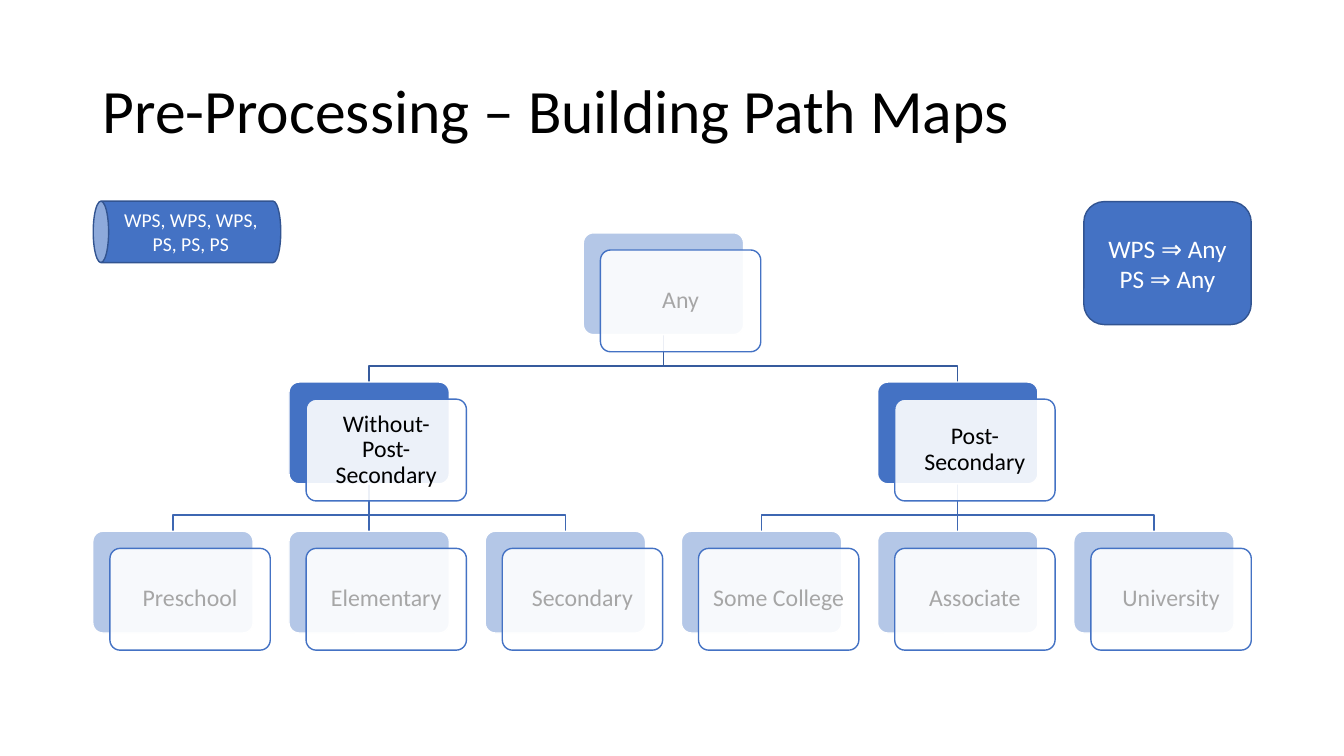
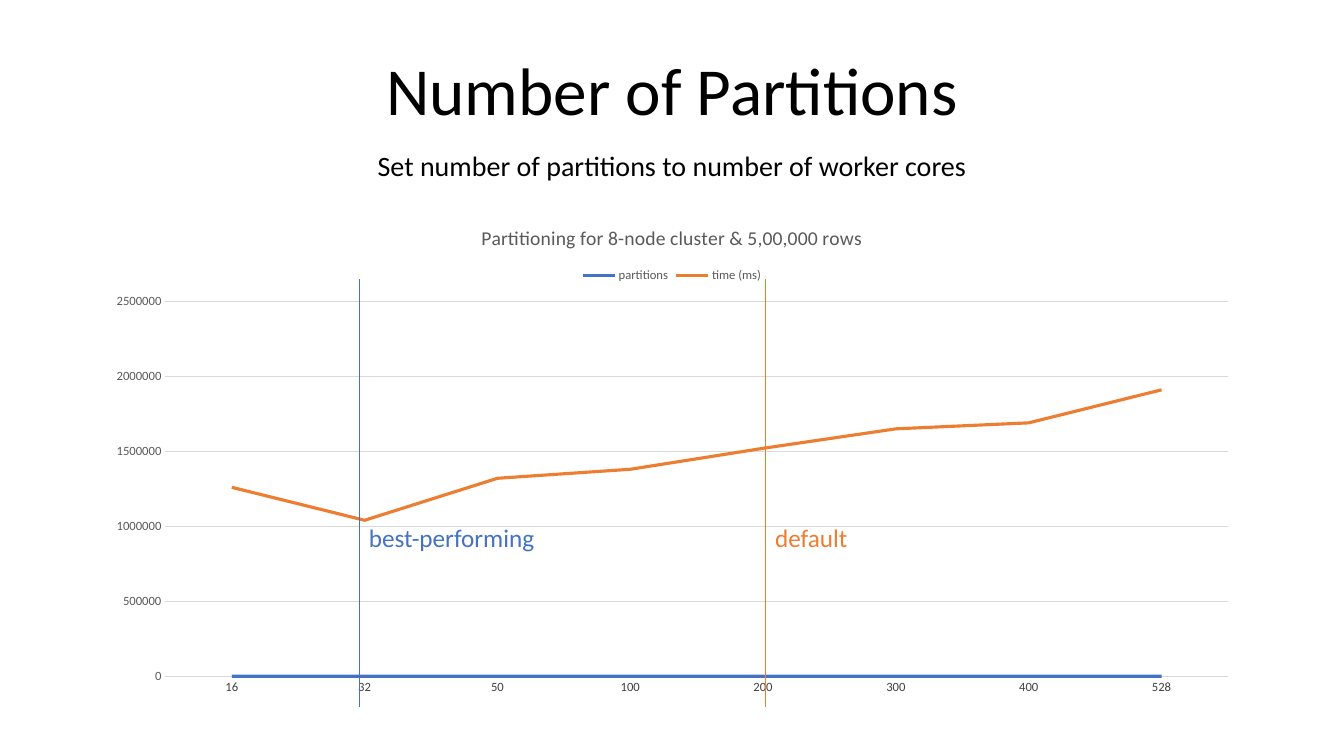
from dataclasses import dataclass
from typing import Optional

import pptx
import pptx.chart.data
import pptx.dml.color
import pptx.enum.chart
import pptx.enum.shapes
import pptx.enum.text
import pptx.oxml.ns
import pptx.oxml.xmlchemy
import pptx.util

Inches = pptx.util.Inches
Pt = pptx.util.Pt
SHAPE = pptx.enum.shapes.MSO_SHAPE
ALIGN = pptx.enum.text.PP_ALIGN
ANCHOR = pptx.enum.text.MSO_ANCHOR
element = pptx.oxml.xmlchemy.OxmlElement


@dataclass(frozen=True)
class Theme:
    font: str = "Calibri"
    ink: str = "000000"
    paper: str = "FFFFFF"
    blue: str = "4472C4"
    pale: str = "B4C7E7"
    edge: str = "325491"
    trunk: str = "365B9D"
    twig: str = "3E67B2"
    orange: str = "ED7D31"
    faded: str = "A6A6A6"
    label: str = "404040"
    axis: str = "595959"
    grid: str = "D9D9D9"
    title: float = 44
    headline: float = 48
    subtitle: float = 20
    body: float = 18
    card: float = 17
    small: float = 14
    tick: float = 9


@dataclass(frozen=True)
class Box:
    x: float
    y: float
    w: float
    h: float

    def emu(self) -> list[int]:
        return [Inches(v) for v in (self.x, self.y, self.w, self.h)]


@dataclass(frozen=True)
class Node:
    text: str
    col: float
    row: int
    parent: Optional[int] = None
    active: bool = False

    @property
    def box(self) -> Box:
        return Box(MARGIN + self.col * COL, TREE_TOP + self.row * ROW, CARD_W, CARD_H)


@dataclass(frozen=True)
class Marker:
    text: str
    x: float
    width: float
    color: str


T = Theme()
SLIDE_W, SLIDE_H = 13.33, 7.5
MARGIN = 0.92
CONTENT_W = SLIDE_W - 2 * MARGIN
CARD_W, CARD_H = 1.59, 1.01
OFFSET = 0.17
COL = (CONTENT_W - CARD_W - OFFSET) / 5
ROW, TREE_TOP = 1.48, 2.31
ELBOW = 0.31

NODES = [
    Node("Any", 2.5, 0),
    Node("Without-Post-Secondary", 1, 1, 0, True),
    Node("Post-Secondary", 4, 1, 0, True),
    *(Node(text, i, 2, 1 + i // 3) for i, text in enumerate(
        ["Preschool", "Elementary", "Secondary",
         "Some College", "Associate", "University"])),
]
PARTITIONS = [16, 32, 50, 100, 200, 300, 400, 528]
TIMES = [1260000, 1040000, 1320000, 1380000, 1520000, 1650000, 1690000, 1910000]
CHART = Box(MARGIN, 2.04, CONTENT_W, 4.86)
PLOT = Box(1.64, 2.99, 10.54, 3.72)
MARKERS = [
    Marker("best-performing", 3.56, 1.87, T.blue),
    Marker("default", 7.59, 0.93, T.orange),
]


def rgb(color: str) -> pptx.dml.color.RGBColor:
    return pptx.dml.color.RGBColor.from_string(color)


def set_font(font, size: float, color: str) -> None:
    font.name, font.size, font.bold = T.font, Pt(size), False
    font.color.rgb = rgb(color)


def set_line(line, color: str, width: float = 1) -> None:
    line.color.rgb = rgb(color)
    line.width = Pt(width)


def write(sp, lines: list[str], size: float, color: str, align=ALIGN.CENTER,
          anchor=ANCHOR.MIDDLE, spacing: float = 1, wrap: bool = True) -> None:
    tf = sp.text_frame
    tf.word_wrap, tf.vertical_anchor = wrap, anchor
    for i, line in enumerate(lines):
        p = tf.add_paragraph() if i else tf.paragraphs[0]
        p.text, p.alignment, p.line_spacing = line, align, float(spacing)
        set_font(p.font, size, color)


def add_text(s, box: Box, text: str, size: float, color: str = T.ink, **style) -> None:
    write(s.shapes.add_textbox(*box.emu()), [text], size, color, **style)


def add_shape(s, kind, box: Box, fill: str, line: str):
    sp = s.shapes.add_shape(kind, *box.emu())
    sp.shadow.inherit = False
    sp.fill.solid()
    sp.fill.fore_color.rgb = rgb(fill)
    set_line(sp.line, line)
    return sp


def add_line(s, x1: float, y1: float, x2: float, y2: float,
             color: str, width: float) -> None:
    line = s.shapes.add_connector(
        pptx.enum.shapes.MSO_CONNECTOR.STRAIGHT, *map(Inches, (x1, y1, x2, y2)))
    set_line(line.line, color, width)
    line.element.spPr.append(element("a:effectLst"))


def add_branch(s, parent: Node, child: Node) -> None:
    x1, y1 = parent.box.x + CARD_W / 2, parent.box.y + CARD_H
    x2, y2 = child.box.x + CARD_W / 2, child.box.y
    color = T.twig if parent.row else T.trunk
    if parent.col == child.col:
        add_line(s, x1, y1, x2, y2, color, 1)
        return
    points = [(x1, y1 + ELBOW), (x2, y1 + ELBOW), (x2, y2)]
    path = s.shapes.build_freeform(Inches(x1), Inches(y1))
    path.add_line_segments([(Inches(x), Inches(y)) for x, y in points], close=False)
    sp = path.convert_to_shape()
    sp.shadow.inherit = False
    sp.fill.background()
    set_line(sp.line, color)


def add_card(s, node: Node) -> None:
    back = node.box
    front = Box(back.x + OFFSET, back.y + OFFSET, CARD_W, CARD_H)
    plate = add_shape(s, SHAPE.ROUNDED_RECTANGLE, back,
                      T.blue if node.active else T.pale, T.paper)
    card = add_shape(s, SHAPE.ROUNDED_RECTANGLE, front, T.paper, T.blue)
    for sp in (plate, card):
        sp.adjustments[0] = 0.1
    alpha = element("a:alpha")
    alpha.set("val", "90000")
    card.element.spPr.find(".//" + pptx.oxml.ns.qn("a:srgbClr")).append(alpha)
    write(card, [node.text], T.card, T.ink if node.active else T.faded, spacing=0.9)


def set_plot_area(chart, plot: Box, frame: Box) -> None:
    area = chart.element.chart.plotArea
    for old in area.findall(pptx.oxml.ns.qn("c:layout")):
        area.remove(old)
    layout = element("c:layout")
    manual = element("c:manualLayout")
    layout.append(manual)
    values = {
        "layoutTarget": "inner", "xMode": "edge", "yMode": "edge",
        "x": (plot.x - frame.x) / frame.w, "y": (plot.y - frame.y) / frame.h,
        "w": plot.w / frame.w, "h": plot.h / frame.h,
    }
    for tag, value in values.items():
        item = element("c:" + tag)
        item.set("val", str(value))
        manual.append(item)
    area.insert(0, layout)


def add_timing_chart(s) -> None:
    data = pptx.chart.data.CategoryChartData()
    data.categories = [str(i + 1) for i in range(len(PARTITIONS))]
    data.add_series("partitions", PARTITIONS)
    data.add_series("time (ms)", TIMES)
    chart = s.shapes.add_chart(
        pptx.enum.chart.XL_CHART_TYPE.LINE, *CHART.emu(), data).chart
    set_font(chart.font, T.tick, T.axis)

    chart.has_title = True
    p = chart.chart_title.text_frame.paragraphs[0]
    r = p.add_run()
    r.text = "Partitioning for 8-node cluster & 5,00,000 rows"
    set_font(p.font, T.small, T.axis)
    chart.has_legend = True
    chart.legend.position = pptx.enum.chart.XL_LEGEND_POSITION.TOP
    chart.legend.include_in_layout = False
    set_font(chart.legend.font, T.tick, T.axis)

    chart.category_axis.visible = False
    axis = chart.value_axis
    axis.minimum_scale, axis.maximum_scale, axis.major_unit = 0, 2500000, 500000
    axis.major_tick_mark = pptx.enum.chart.XL_TICK_MARK.NONE
    axis.format.line.fill.background()
    set_line(axis.major_gridlines.format.line, T.grid, 0.75)
    set_font(axis.tick_labels.font, T.tick, T.axis)

    plot = chart.plots[0]
    plot.vary_by_categories = False
    for series, color in zip(plot.series, (T.blue, T.orange)):
        series.smooth = False
        set_line(series.format.line, color, 2.25)
    labels = plot.series[0].data_labels
    labels.show_value = True
    labels.position = pptx.enum.chart.XL_LABEL_POSITION.BELOW
    set_font(labels.font, T.tick, T.label)
    set_plot_area(chart, PLOT, CHART)


def build_path_maps(s) -> None:
    add_text(s, Box(MARGIN, 0.4, CONTENT_W, 1.45),
             "Pre-Processing – Building Path Maps", T.title,
             align=ALIGN.LEFT, spacing=0.9)
    for node in NODES:
        if node.parent is not None:
            add_branch(s, NODES[node.parent], node)
    for node in NODES:
        add_card(s, node)

    queue = add_shape(s, SHAPE.CAN, Box(1.55, 1.37, 0.61, 1.86), T.blue, T.edge)
    queue.rotation = 270
    write(queue, ["WPS, WPS, WPS, PS, PS, PS"], T.small, T.paper)
    queue.element.txBody.bodyPr.set("vert", "vert")
    rules = add_shape(s, SHAPE.ROUNDED_RECTANGLE, Box(10.75, 2, 1.66, 1.22),
                      T.blue, T.edge)
    write(rules, ["WPS ⇒ Any", "PS ⇒ Any"], T.body, T.paper)


def build_partitions(s) -> None:
    add_text(s, Box(MARGIN, 0.32, CONTENT_W, 1.02), "Number of Partitions",
             T.headline, anchor=ANCHOR.BOTTOM, spacing=0.9)
    add_text(s, Box(MARGIN, 1.46, CONTENT_W, 0.46),
             "Set number of partitions to number of worker cores",
             T.subtitle, anchor=ANCHOR.TOP, spacing=0.9)
    add_timing_chart(s)
    for m in MARKERS:
        add_line(s, m.x, 2.77, m.x, 7.01, m.color, 0.5)
        add_text(s, Box(m.x, 5.13, m.width, 0.4), m.text, T.body, m.color,
                 align=ALIGN.LEFT, anchor=ANCHOR.TOP, wrap=False)


def main() -> None:
    prs = pptx.Presentation()
    prs.slide_width, prs.slide_height = Inches(SLIDE_W), Inches(SLIDE_H)
    for build in (build_path_maps, build_partitions):
        build(prs.slides.add_slide(prs.slide_layouts[6]))
    prs.save("out.pptx")


if __name__ == "__main__":
    main()
